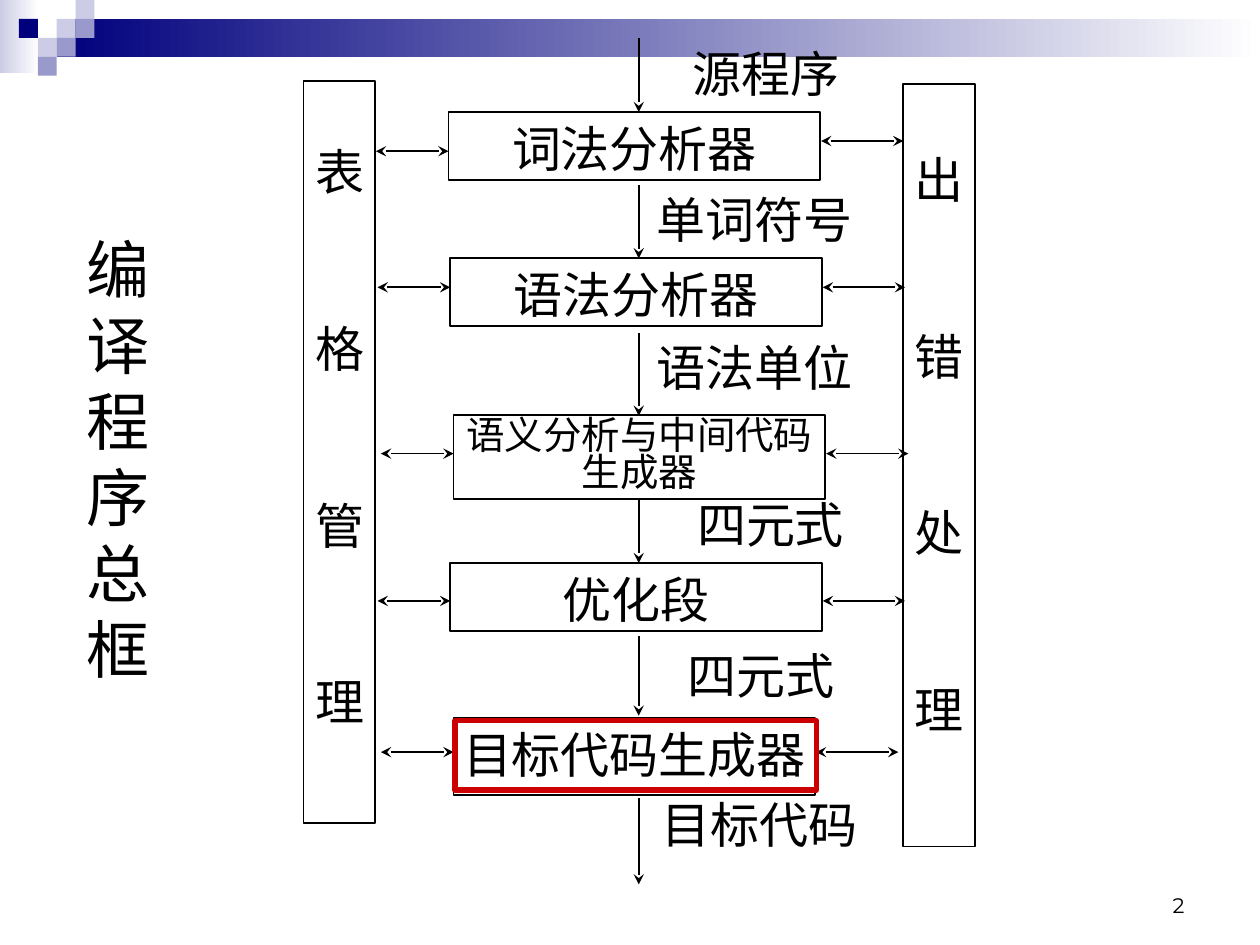
"""Build the overall block diagram of a compiler as one slide."""
from dataclasses import dataclass

import lxml.etree
import pptx
import pptx.dml.color
import pptx.enum.shapes
import pptx.enum.text
import pptx.oxml.ns
import pptx.util

Pt = pptx.util.Pt
Align = pptx.enum.text.PP_ALIGN
Anchor = pptx.enum.text.MSO_ANCHOR
RECTANGLE = pptx.enum.shapes.MSO_SHAPE.RECTANGLE
COLORS = {"ink": "000000", "navy": "00007D", "lilac": "9999CC",
          "pale": "CCCCE6", "white": "FFFFFF", "accent": "CC0000"}
SERIF, SANS = "Times New Roman", "Noto Sans CJK SC"
FLOW_X = 365


@dataclass
class Style:
    size: float = 28
    font: str = SERIF
    line: float = 33.6
    align: Align = Align.CENTER
    anchor: Anchor = Anchor.TOP
    inset_x: float = 0
    inset_top: float = 3.6
    gap: float = 0
    wrap: bool = True


@dataclass
class Stage:
    text: str
    left: float
    top: float
    width: float
    height: float
    left_link_y: float
    right_link_y: float
    style: Style


@dataclass
class Flow:
    text: str
    start: float
    end: float
    label_x: float
    label_y: float


@dataclass
class SideBar:
    text: str
    left: float
    top: float
    height: float
    inset_top: float


@dataclass
class Tile:
    column: int
    row: int
    color: str


STAGES = [
    Stage("词法分析器", 256.3, 64.1, 212.4, 38.9, 86.4, 80.6, Style()),
    Stage("语法分析器", 257.3, 147.6, 212.4, 38.9, 164.2, 164.2, Style()),
    Stage("语义分析与中间代码生成器", 259.2, 237, 212.4, 48.2, 259.2, 259.2,
          Style(22, SANS, 21.1, anchor=Anchor.MIDDLE, inset_top=0)),
    Stage("优化段", 257.3, 321.8, 212.4, 38.9, 343.4, 343.4, Style(font=SANS)),
    Stage("目标代码生成器", 259.2, 410.4, 206.6, 43.9, 429.8, 429.8, Style(font=SANS)),
]
FLOWS = [
    Flow("源程序", 21.6, 64.1, 437.6, 41.8),
    Flow("单词符号", 105.8, 147.6, 431.3, 125.3),
    Flow("语法单位", 190.1, 237.6, 431.3, 209.5),
    Flow("四元式", 285.1, 321.8, 440.3, 299.5),
    Flow("四元式", 363.6, 409, 434.9, 385.6),
    Flow("目标代码", 455.8, 505.4, 434.2, 470.9),
]
SIDE_BARS = [SideBar("表格管理", 173.5, 46.1, 424.1, 34.9),
             SideBar("出错处理", 516.2, 48.2, 435.6, 37.2)]
TILES = [Tile(3, 1, "pale"), Tile(4, 0, "pale"), Tile(4, 1, "lilac"),
         Tile(2, 2, "pale"), Tile(1, 1, "navy"), Tile(3, 2, "lilac"),
         Tile(2, 3, "lilac")]


def rgb(name: str) -> pptx.dml.color.RGBColor:
    return pptx.dml.color.RGBColor.from_string(COLORS[name])


def write(shape, lines: list[str], style: Style) -> None:
    frame = shape.text_frame
    frame.auto_size = pptx.enum.text.MSO_AUTO_SIZE.NONE
    frame.word_wrap = style.wrap
    frame.vertical_anchor = style.anchor
    frame.margin_left = frame.margin_right = Pt(style.inset_x)
    frame.margin_top = Pt(style.inset_top)
    frame.margin_bottom = Pt(min(style.inset_top, 3.6))
    frame.text = "\n".join(lines)
    for index, para in enumerate(frame.paragraphs):
        para.alignment = style.align
        para.line_spacing = Pt(style.line)
        para.space_before = Pt(style.gap if index else 0)
        for span in para.runs:
            span.font.size = Pt(style.size)
            span.font.name = style.font
            span.font.color.rgb = rgb("ink")


def add_box(page, left: float, top: float, width: float, height: float,
            line: str | None = None, weight: float = 1):
    box = page.shapes.add_shape(RECTANGLE, Pt(left), Pt(top), Pt(width), Pt(height))
    box.shadow.inherit = False
    box.fill.background()
    if line:
        box.line.color.rgb = rgb(line)
        box.line.width = Pt(weight)
    else:
        box.line.fill.background()
    return box


def add_gradient(page, left: float, top: float, width: float, height: float,
                 start: str) -> None:
    fill = add_box(page, left, top, width, height).fill
    fill.gradient()
    fill.gradient_angle = 0
    for stop, position, color in zip(fill.gradient_stops, (0, 1), (start, "white")):
        stop.position = position
        stop.color.rgb = rgb(color)


def add_text(page, left: float, top: float, width: float, height: float,
             text: str, style: Style) -> None:
    box = page.shapes.add_textbox(Pt(left), Pt(top), Pt(width), Pt(height))
    write(box, [text], style)


def add_arrow(page, x1: float, y1: float, x2: float, y2: float,
              ends: tuple[str, ...] = ("tailEnd",)) -> None:
    arrow = page.shapes.add_connector(pptx.enum.shapes.MSO_CONNECTOR.STRAIGHT,
                                      Pt(x1), Pt(y1), Pt(x2), Pt(y2))
    arrow.line.color.rgb = rgb("ink")
    arrow.line.width = Pt(1)
    qn = pptx.oxml.ns.qn
    for end in ends:
        lxml.etree.SubElement(arrow.line._ln, qn(f"a:{end}"), type="stealth")
    lxml.etree.SubElement(arrow._element.spPr, qn("a:effectLst"))


def add_banner(page) -> None:
    add_gradient(page, 0, 0, 22.3, 41.8, "pale")
    add_gradient(page, 32.4, 10.8, 687.6, 21.6, "navy")
    for tile in TILES:
        box = add_box(page, 10.8 * tile.column, 10.8 * tile.row, 10.8, 10.8)
        box.fill.solid()
        box.fill.fore_color.rgb = rgb(tile.color)


def add_stage(page, stage: Stage) -> None:
    box = add_box(page, stage.left, stage.top, stage.width, stage.height, "ink")
    write(box, [stage.text], stage.style)
    right, both = stage.left + stage.width + 0.5, ("headEnd", "tailEnd")
    add_arrow(page, stage.left, stage.left_link_y, stage.left - 41.5, stage.left_link_y, both)
    add_arrow(page, right, stage.right_link_y, right + 47, stage.right_link_y, both)


def add_flow(page, flow: Flow) -> None:
    add_arrow(page, FLOW_X, flow.start, FLOW_X, flow.end)
    add_text(page, flow.label_x - 59, flow.label_y - 13.7, 118, 27.4, flow.text,
             Style(anchor=Anchor.MIDDLE, wrap=False))


def add_side_bar(page, bar: SideBar) -> None:
    box = add_box(page, bar.left, bar.top, 41, bar.height, "ink")
    write(box, list(bar.text), Style(inset_top=bar.inset_top, gap=67.4))


def main() -> None:
    deck = pptx.Presentation()
    deck.slide_width, deck.slide_height = Pt(720), Pt(540)
    page = deck.slides.add_slide(deck.slide_layouts[5])
    add_banner(page)
    title = page.shapes.title
    title.left, title.top, title.width, title.height = Pt(42.5), Pt(122.4), Pt(51.1), Pt(309.6)
    write(title, ["编译程序总框"], Style(36, SANS, 43.4, Align.LEFT, inset_x=7.2, inset_top=9))
    for flow in FLOWS:
        add_flow(page, flow)
    for bar in SIDE_BARS:
        add_side_bar(page, bar)
    for stage in STAGES:
        add_stage(page, stage)
    add_box(page, 260, 411.8, 206.6, 39.6, "accent", 3)
    add_text(page, 516.2, 491.8, 167.8, 36, "2",
             Style(12, "Montserrat", 14.6, Align.RIGHT, Anchor.BOTTOM, 7.2))
    deck.save("out.pptx")


if __name__ == "__main__":
    main()
